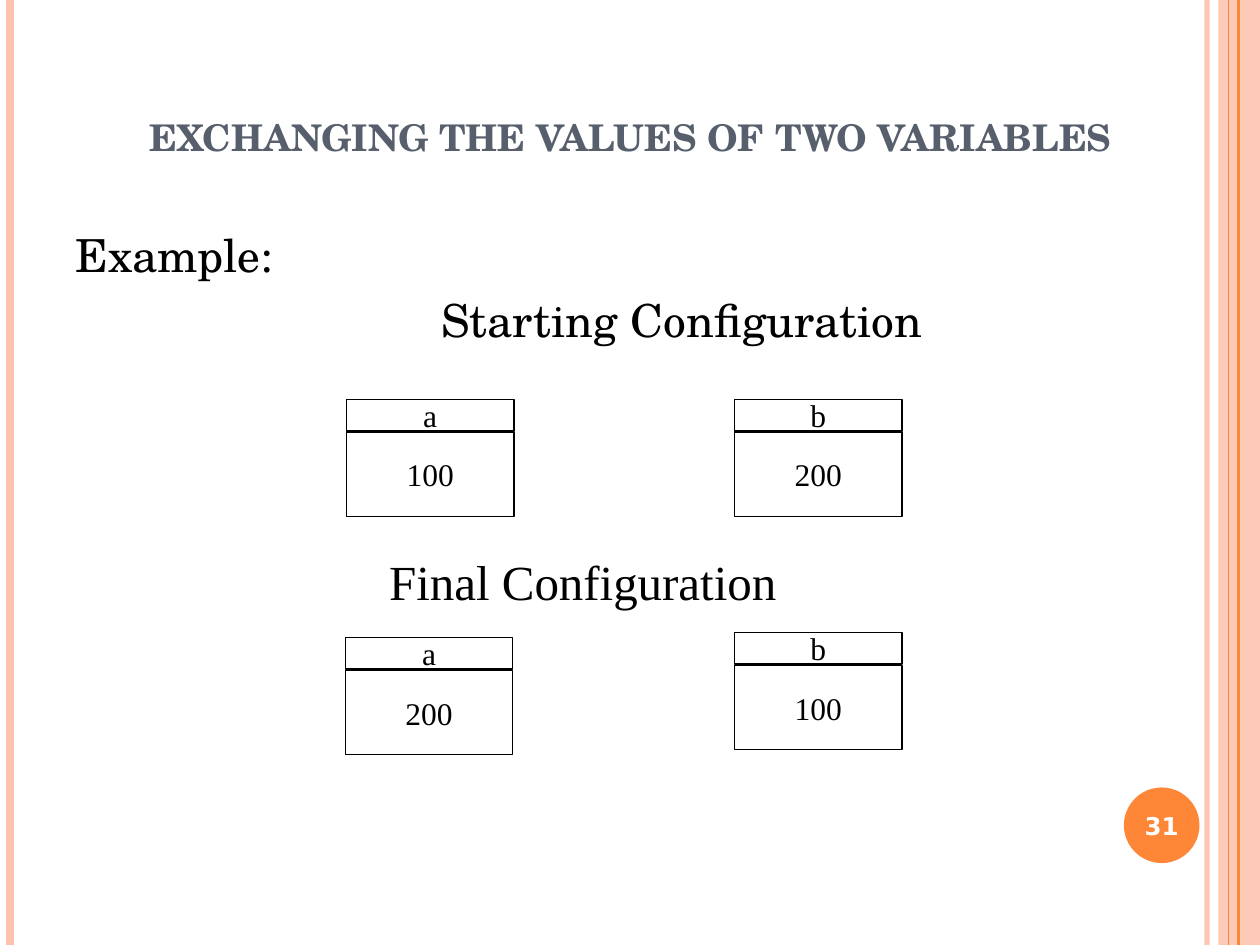
from dataclasses import dataclass

from lxml.etree import SubElement
from pptx import Presentation
from pptx.dml.color import RGBColor
from pptx.enum.shapes import MSO_CONNECTOR as Connector
from pptx.enum.shapes import MSO_SHAPE as Shape
from pptx.enum.text import MSO_ANCHOR as Anchor
from pptx.enum.text import MSO_AUTO_SIZE as AutoSize
from pptx.enum.text import PP_ALIGN as Align
from pptx.oxml.ns import qn
from pptx.util import Inches, Pt

COLORS = {
    "peach": "FEC3AE",
    "orange": "FE8637",
    "slate": "575F6D",
    "black": "000000",
    "white": "FFFFFF",
}
SCHOLA = "TeX Gyre Schola"
TIMES = "Times New Roman"
SLIDE_WIDTH, SLIDE_HEIGHT = 10, 7.5
CELL_WIDTH, NAME_HEIGHT, VALUE_HEIGHT, VALUE_OFFSET = 1.33, 0.25, 0.67, 0.26


@dataclass
class Stripe:
    x: float
    width: float
    color: str
    opacity: int = 100


@dataclass
class Variable:
    name: str
    value: str
    left: float
    top: float


STRIPES = [
    Stripe(9.58, 3, "peach", 93),
    Stripe(0.08, 4.5, "peach"),
    Stripe(9.83, 1.5, "orange"),
    Stripe(9.75, 0.75, "orange"),
]
VARIABLES = [
    Variable("a", "100", 2.75, 3.17),
    Variable("b", "200", 5.83, 3.17),
    Variable("a", "200", 2.74, 5.06),
    Variable("b", "100", 5.83, 5.02),
]


def color(name: str) -> RGBColor:
    return RGBColor.from_string(COLORS[name])


def set_opacity(shape, percent: int) -> None:
    fill_color = next(shape._element.spPr.iter(qn("a:srgbClr")))
    SubElement(fill_color, qn("a:alpha")).set("val", str(percent * 1000))


def place(shape, left: float, top: float, width: float, height: float) -> None:
    shape.left, shape.top = Inches(left), Inches(top)
    shape.width, shape.height = Inches(width), Inches(height)


def style(para, font: str, size: float, ink: str, bold: bool = False,
          align: Align = Align.CENTER) -> None:
    para.alignment = align
    para.font.name = font
    para.font.size = Pt(size)
    para.font.bold = bold
    para.font.color.rgb = color(ink)


def add_stripe(slide, stripe: Stripe) -> None:
    x = Inches(stripe.x)
    line = slide.shapes.add_connector(
        Connector.STRAIGHT, x, 0, x, Inches(SLIDE_HEIGHT))
    line.line.color.rgb = color(stripe.color)
    line.line.width = Pt(stripe.width)
    if stripe.opacity < 100:
        set_opacity(line, stripe.opacity)
    SubElement(line._element.spPr, qn("a:effectLst"))


def add_filled(slide, kind: Shape, left: float, top: float, width: float,
               height: float, fill: str):
    shape = slide.shapes.add_shape(
        kind, Inches(left), Inches(top), Inches(width), Inches(height))
    shape.shadow.inherit = False
    shape.fill.solid()
    shape.fill.fore_color.rgb = color(fill)
    shape.line.fill.background()
    return shape


def add_cell(slide, text: str, left: float, top: float, height: float) -> None:
    cell = slide.shapes.add_shape(
        Shape.RECTANGLE, Inches(left), Inches(top), Inches(CELL_WIDTH), Inches(height))
    cell.shadow.inherit = False
    cell.fill.background()
    cell.line.color.rgb = color("black")
    cell.line.width = Pt(0.75)
    frame = cell.text_frame
    frame.word_wrap = False
    frame.vertical_anchor = Anchor.MIDDLE
    frame.text = text
    style(frame.paragraphs[0], TIMES, 18, "black")


def add_variable(slide, variable: Variable) -> None:
    add_cell(slide, variable.value, variable.left,
             variable.top + VALUE_OFFSET, VALUE_HEIGHT)
    add_cell(slide, variable.name, variable.left, variable.top, NAME_HEIGHT)


def fill_title(slide) -> None:
    title = slide.shapes.title
    place(title, 0.63, 0.69, 8.75, 0.62)
    frame = title.text_frame
    frame.text = "EXCHANGING THE VALUES OF TWO VARIABLES"
    frame.auto_size = AutoSize.NONE
    frame.vertical_anchor = Anchor.BOTTOM
    style(frame.paragraphs[0], SCHOLA, 21, "slate", bold=True)


def fill_body(slide) -> None:
    body = slide.placeholders[1]
    place(body, 0.5, 1.75, 8.17, 5.33)
    frame = body.text_frame
    frame.text = "Example:\nStarting Configuration"
    frame.auto_size = AutoSize.NONE
    for para, indent, space in zip(frame.paragraphs, (0, 2.9), (0, 6)):
        properties = para._p.get_or_add_pPr()
        properties.set("marL", str(Inches(indent)))
        properties.set("indent", "0")
        para.space_before = Pt(space)
        SubElement(properties, qn("a:buNone"))
        style(para, SCHOLA, 26, "black", align=Align.LEFT)


def add_final_heading(slide) -> None:
    box = slide.shapes.add_textbox(
        Inches(2.5), Inches(4.33), Inches(4.25), Inches(0.57))
    box.text_frame.word_wrap = True
    box.text_frame.text = "Final Configuration"
    style(box.text_frame.paragraphs[0], TIMES, 28, "black")


def add_page_number(slide) -> None:
    badge = add_filled(slide, Shape.OVAL, 8.92, 6.25, 0.6, 0.6, "orange")
    frame = badge.text_frame
    frame.margin_left = frame.margin_right = 0
    frame.vertical_anchor = Anchor.MIDDLE
    frame.text = "31"
    style(frame.paragraphs[0], "DejaVu Sans", 14, "white", bold=True)


def main() -> None:
    deck = Presentation()
    deck.slide_width, deck.slide_height = Inches(SLIDE_WIDTH), Inches(SLIDE_HEIGHT)
    slide = deck.slides.add_slide(deck.slide_layouts[1])
    band = add_filled(slide, Shape.RECTANGLE, 9.67, 0, 0.33, SLIDE_HEIGHT, "peach")
    set_opacity(band, 87)
    for stripe in STRIPES:
        add_stripe(slide, stripe)
    fill_title(slide)
    fill_body(slide)
    add_page_number(slide)
    for variable in VARIABLES:
        add_variable(slide, variable)
    add_final_heading(slide)
    deck.save("out.pptx")


if __name__ == "__main__":
    main()
